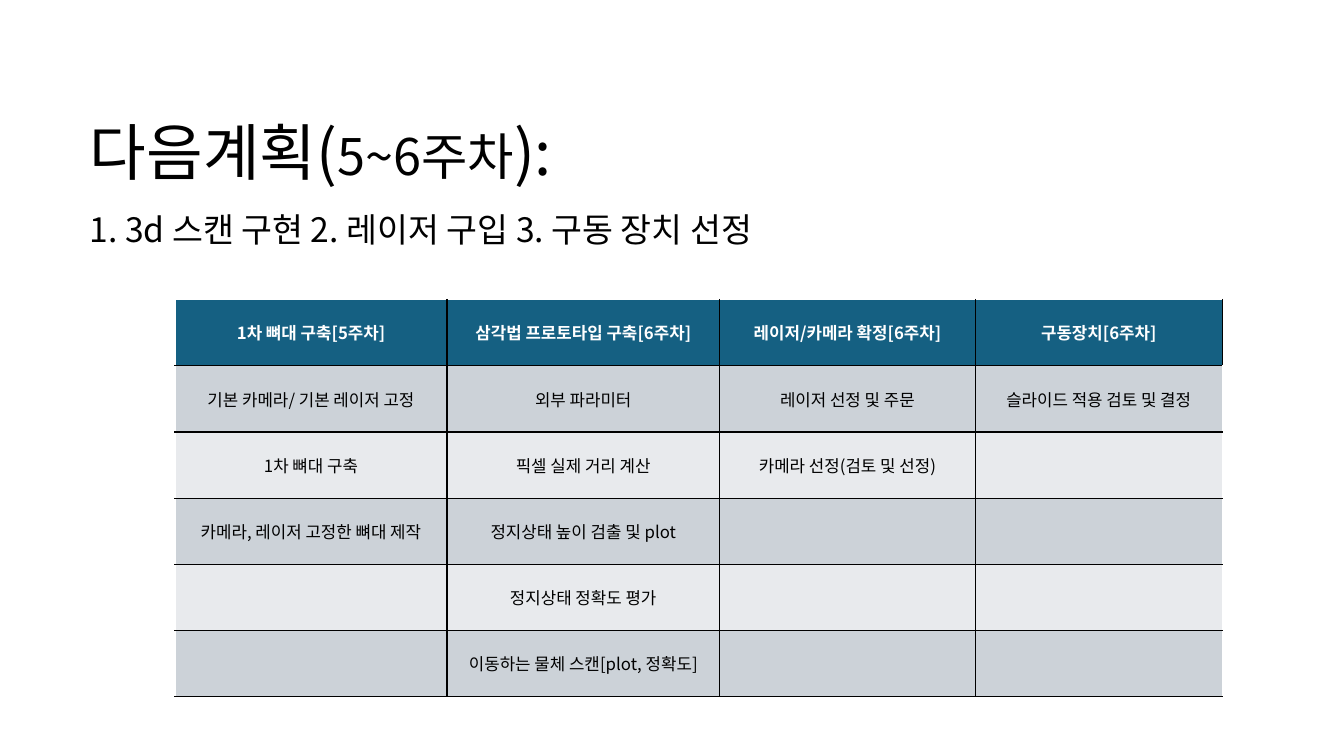
import pptx
import pptx.dml.color
import pptx.enum.text
import pptx.oxml.ns
import pptx.util
from lxml import etree

Pt = pptx.util.Pt
RGBColor = pptx.dml.color.RGBColor
ANCHOR = pptx.enum.text.MSO_ANCHOR
ALIGN = pptx.enum.text.PP_ALIGN
qn = pptx.oxml.ns.qn

# Content
TITLE_LINES = [
    [("다음계획(", 44), ("5~6주차", 36), ("): ", 44)],
    [("1. 3d 스캔 구현 2. 레이저 구입 3. 구동 장치 선정", 24), (" ", 14)],
]
PLAN = {
    "1차 뼈대 구축[5주차]": [
        "기본 카메라/ 기본 레이저 고정", "1차 뼈대 구축", "카메라, 레이저 고정한 뼈대 제작"],
    "삼각법 프로토타입 구축[6주차]": [
        "외부 파라미터", "픽셀 실제 거리 계산", "정지상태 높이 검출 및 plot",
        "정지상태 정확도 평가", "이동하는 물체 스캔[plot, 정확도]"],
    "레이저/카메라 확정[6주차]": ["레이저 선정 및 주문", "카메라 선정(검토 및 선정)"],
    "구동장치[6주차]": ["슬라이드 적용 검토 및 결정"],
}

# Style and layout, in points
FONT = "Noto Sans CJK KR"
BLACK = RGBColor(0x00, 0x00, 0x00)
WHITE = RGBColor(0xFF, 0xFF, 0xFF)
HEADER_BLUE = RGBColor(0x15, 0x60, 0x82)
BANDS = [RGBColor(0xE8, 0xEA, 0xED), RGBColor(0xCC, 0xD2, 0xD8)]
TITLE_BOX = (57, 34, 862, 165)
TABLE_LEFT, TABLE_TOP = 125, 214
COLUMN_WIDTHS = [194.3, 194.7, 182.7, 176.4]
ROW_HEIGHT = 47.3
CELL_TEXT_SIZE = 12
BORDER_WIDTH = 1


def add_run(paragraph, text, size, color, bold=False):
    run = paragraph.add_run()
    run.text = text
    run.font.size = Pt(size)
    run.font.bold = bold
    run.font.color.rgb = color
    run.font.name = FONT
    east_asian = etree.SubElement(run.font._element, qn("a:ea"))
    east_asian.set("typeface", FONT)


def add_borders(cell, sides):
    """Draw a black line on each named side (L, R, T, B, in that order)."""
    properties = cell._tc.get_or_add_tcPr()
    for side in sides:
        line = etree.SubElement(properties, qn("a:ln" + side), w=str(Pt(BORDER_WIDTH)))
        fill = etree.SubElement(line, qn("a:solidFill"))
        etree.SubElement(fill, qn("a:srgbClr"), val=str(BLACK))


presentation = pptx.Presentation()
presentation.slide_width, presentation.slide_height = Pt(960), Pt(540)
slide = presentation.slides.add_slide(presentation.slide_layouts[6])

# Title with its subtitle line
title = slide.shapes.add_textbox(*map(Pt, TITLE_BOX)).text_frame
title.word_wrap = True
title.vertical_anchor = ANCHOR.MIDDLE
paragraph = title.paragraphs[0]
paragraph.line_spacing = 1.5
for line_number, runs in enumerate(TITLE_LINES):
    if line_number:
        paragraph.add_line_break()
    for text, size in runs:
        add_run(paragraph, text, size, BLACK)

# Plan table: one column per work package
row_count = 1 + max(map(len, PLAN.values()))
table = slide.shapes.add_table(
    row_count, len(PLAN), Pt(TABLE_LEFT), Pt(TABLE_TOP),
    Pt(sum(COLUMN_WIDTHS)), Pt(ROW_HEIGHT * row_count)).table
for row in table.rows:
    row.height = Pt(ROW_HEIGHT)

last_column = len(PLAN) - 1
for column, (heading, tasks) in enumerate(PLAN.items()):
    table.columns[column].width = Pt(COLUMN_WIDTHS[column])
    texts = [heading] + tasks
    for row in range(row_count):
        cell = table.cell(row, column)
        is_header = row == 0
        sides = "L" if column > 0 else ""
        sides += "R" if column < last_column or is_header else ""
        sides += "B" if is_header else "TB"
        add_borders(cell, sides)
        cell.fill.solid()
        cell.fill.fore_color.rgb = HEADER_BLUE if is_header else BANDS[row % 2]
        cell.vertical_anchor = ANCHOR.MIDDLE
        if row < len(texts):
            paragraph = cell.text_frame.paragraphs[0]
            paragraph.alignment = ALIGN.CENTER
            add_run(paragraph, texts[row], CELL_TEXT_SIZE,
                    WHITE if is_header else BLACK, is_header)

presentation.save("out.pptx")
